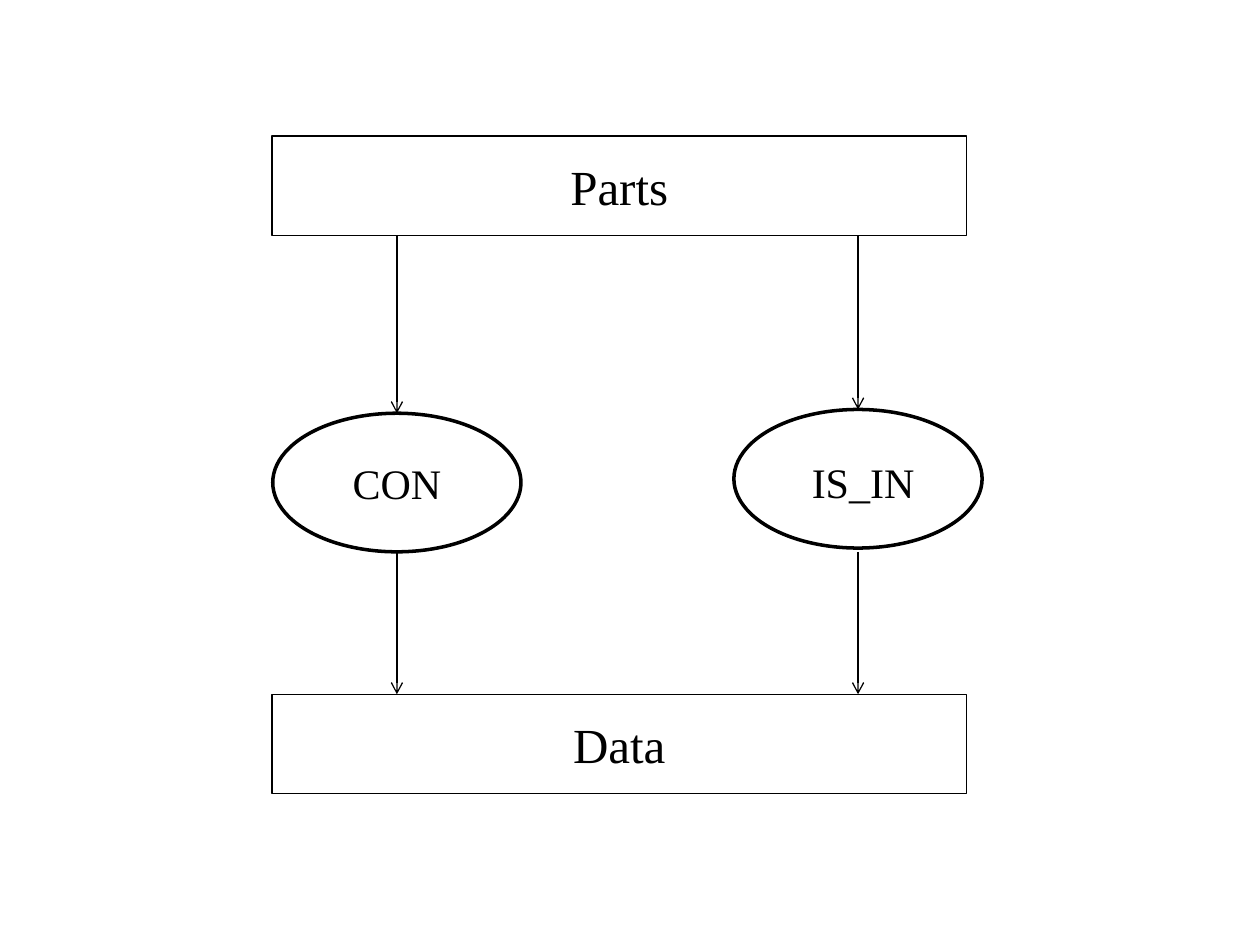
from dataclasses import dataclass

from lxml import etree
from pptx import Presentation
from pptx.dml.color import RGBColor
from pptx.enum.shapes import MSO_CONNECTOR, MSO_SHAPE
from pptx.enum.text import MSO_ANCHOR, PP_ALIGN
from pptx.oxml.ns import qn
from pptx.util import Inches, Pt

RECT, OVAL = MSO_SHAPE.RECTANGLE, MSO_SHAPE.OVAL
STRAIGHT = MSO_CONNECTOR.STRAIGHT
CENTER, MIDDLE = PP_ALIGN.CENTER, MSO_ANCHOR.MIDDLE


@dataclass(frozen=True)
class Theme:
    font: str = "Times New Roman"
    ink: RGBColor = RGBColor(0, 0, 0)
    bar_size: float = 28
    label_size: float = 24
    thin: float = 0.75
    thick: float = 2


THEME = Theme()

# Inches: bars span both columns, ovals sit on column centers
BARS = [("Parts", 1.08), ("Data", 5.51)]
BAR_X, BAR_W, BAR_H = 2.16, 5.51, 0.79
OVAL_W, OVAL_H = 1.97, 1.1
LABEL_H = 0.5
LOWER_Y = 4.38
# name, column center, oval top, label left, label top, label width
LINKS = [
    ("CON", 3.15, 3.28, 2.64, 3.58, 1.02),
    ("IS_IN", 6.81, 3.25, 6.26, 3.57, 1.18),
]


def write(shape, text, size):
    frame = shape.text_frame
    frame.word_wrap = True
    frame.vertical_anchor = MIDDLE
    frame.text = text
    para = frame.paragraphs[0]
    para.alignment = CENTER
    para.font.name = THEME.font
    para.font.size = Pt(size)
    para.font.color.rgb = THEME.ink


def outline(slide, kind, box, width):
    shape = slide.shapes.add_shape(kind, *map(Inches, box))
    shape.shadow.inherit = False
    shape.fill.background()
    shape.line.color.rgb = THEME.ink
    shape.line.width = Pt(width)
    return shape


def arrow(slide, x, top, end):
    line = slide.shapes.add_connector(
        STRAIGHT, Inches(x), Inches(top), Inches(x), Inches(end))
    line.line.color.rgb = THEME.ink
    line.line.width = Pt(THEME.thin)
    props = line.line._get_or_add_ln()
    etree.SubElement(props, qn("a:tailEnd"), type="arrow")
    etree.SubElement(line._element.spPr, qn("a:effectLst"))


def main():
    deck = Presentation()
    deck.slide_width, deck.slide_height = Inches(10), Inches(7.5)
    slide = deck.slides.add_slide(deck.slide_layouts[6])

    for name, top in BARS:
        bar = outline(slide, RECT, (BAR_X, top, BAR_W, BAR_H), THEME.thin)
        write(bar, name, THEME.bar_size)

    upper, lower = BARS[0][1] + BAR_H, BARS[1][1]
    for name, mid, top, left, label_y, width in LINKS:
        oval = (mid - OVAL_W / 2, top, OVAL_W, OVAL_H)
        outline(slide, OVAL, oval, THEME.thick)
        label = slide.shapes.add_textbox(
            *map(Inches, (left, label_y, width, LABEL_H)))
        write(label, name, THEME.label_size)
        arrow(slide, mid, upper, top)
        arrow(slide, mid, LOWER_Y, lower)

    deck.save("out.pptx")


if __name__ == "__main__":
    main()
